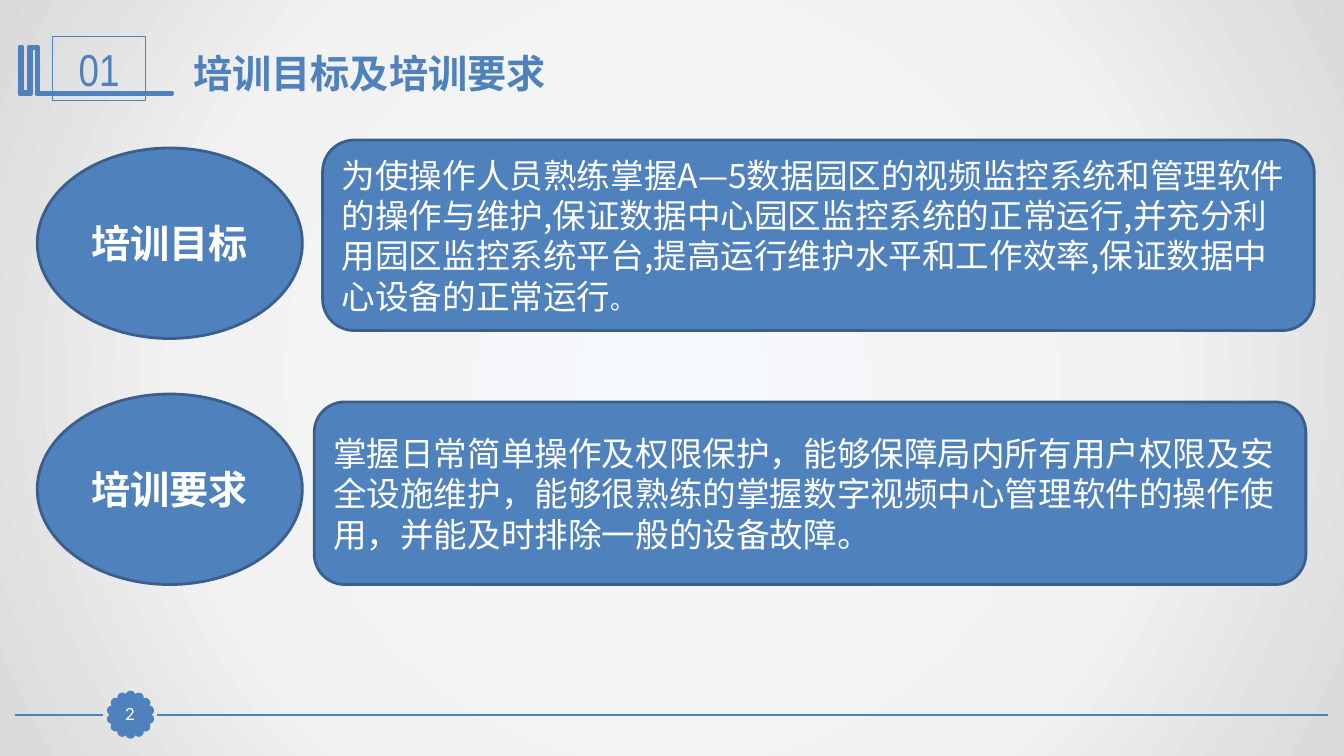
from math import cos, radians, sin

from lxml import etree
from pptx import Presentation
from pptx.dml.color import RGBColor
from pptx.enum.shapes import MSO_CONNECTOR, MSO_SHAPE
from pptx.enum.text import MSO_ANCHOR, PP_ALIGN
from pptx.oxml import parse_xml
from pptx.oxml.ns import nsdecls, qn
from pptx.util import Cm, Pt

TITLE = "培训目标及培训要求"
SECTION_NUMBER = "01"
PAGE_NUMBER = "2"
TOPICS = [
    {
        "label": "培训目标",
        "oval": (0.94, 3.73, 6.68, 4.8),
        "panel": (8.13, 3.53, 24.99, 4.8),
        "runs": [
            ("为使操作人员熟练掌握A—5数据园区的视频监控系统和管理软件的操作与维护,"
             "保证数据中心园区监控系统的正常运行,并充分利用园区监控系统平台,"
             "提高运行维护水平和工作效率,保证数据中心设备的正常运行", 24),
            ("。", 18),
        ],
    },
    {
        "label": "培训要求",
        "oval": (0.94, 9.93, 6.68, 4.8),
        "panel": (7.92, 10.13, 24.99, 4.6),
        "runs": [
            ("掌握日常简单操作及权限保护，能够保障局内所有用户权限及安全设施维护，"
             "能够很熟练的掌握数字视频中心管理软件的操作使用，"
             "并能及时排除一般的设备故障。", 24),
        ],
    },
]
BOOKS_OUTLINE = [
    (0.94, 1.17), (0.97, 1.17), (0.97, 2.34), (4.34, 2.34), (4.34, 2.39),
    (0.91, 2.39), (0.91, 1.22), (0.79, 1.22), (0.79, 2.39), (0.48, 2.39),
    (0.48, 1.17), (0.58, 1.17), (0.58, 2.31), (0.71, 2.31), (0.71, 1.17),
]
FOOTER_Y = 18.01
FOOTER_LINES = [(33.48, 3.96), (2.59, 0.38)]
BADGE_X, BADGE_RADIUS, DOT_SIZE, DOT_COUNT = 3.29, 0.48, 0.18, 14
BACKGROUND_STOPS = [(0, "F6F9FC"), (63, "F2F2F2"), (100, "D9D9D9")]

BLUE = RGBColor(0x4F, 0x81, 0xBD)
DARK_BLUE = RGBColor(0x3A, 0x5F, 0x8C)
WHITE = RGBColor(0xFF, 0xFF, 0xFF)
LATO, NARROW, CJK = "Lato", "Arial Narrow", "Noto Sans CJK SC"
RECTANGLE, OVAL = MSO_SHAPE.RECTANGLE, MSO_SHAPE.OVAL
ROUNDED = MSO_SHAPE.ROUNDED_RECTANGLE
STRAIGHT = MSO_CONNECTOR.STRAIGHT
LEFT, CENTER, MIDDLE = PP_ALIGN.LEFT, PP_ALIGN.CENTER, MSO_ANCHOR.MIDDLE


def paint_background(slide):
    stops = "".join(
        f'<a:gs pos="{position * 1000}"><a:srgbClr val="{color}"/></a:gs>'
        for position, color in BACKGROUND_STOPS
    )
    background = parse_xml(
        f'<p:bg {nsdecls("p", "a")}><p:bgPr><a:gradFill rotWithShape="1">'
        f'<a:gsLst>{stops}</a:gsLst><a:path path="circle">'
        '<a:fillToRect l="50000" t="50000" r="50000" b="50000"/></a:path>'
        '</a:gradFill><a:effectLst/></p:bgPr></p:bg>'
    )
    slide.element.cSld.insert(0, background)


def style_shape(shape, line_color, line_width, filled=True):
    shape.shadow.inherit = False
    if filled:
        shape.fill.solid()
        shape.fill.fore_color.rgb = BLUE
    else:
        shape.fill.background()
    shape.line.color.rgb = line_color
    shape.line.width = Pt(line_width)


def add_box(slide, kind, box, line_color, line_width, filled=True):
    shape = slide.shapes.add_shape(kind, *map(Cm, box))
    style_shape(shape, line_color, line_width, filled)
    return shape


def write_text(shape, runs, font_name, color, alignment, bold=False):
    frame = shape.text_frame
    frame.word_wrap = True
    frame.vertical_anchor = MIDDLE
    paragraph = frame.paragraphs[0]
    paragraph.alignment = alignment
    for text, size in runs:
        run = paragraph.add_run()
        run.text = text
        run.font.size = Pt(size)
        run.font.bold = bold
        run.font.color.rgb = color
        run.font.name = font_name
        east_asian = etree.SubElement(run.font._element, qn("a:ea"))
        east_asian.set("typeface", CJK)
    return paragraph


def add_footer(slide):
    for start, end in FOOTER_LINES:
        line = slide.shapes.add_connector(
            STRAIGHT, Cm(start), Cm(FOOTER_Y), Cm(end), Cm(FOOTER_Y))
        line.line.color.rgb = BLUE
        line.line.width = Pt(1.25)
        etree.SubElement(line._element.spPr, qn("a:effectLst"))
    for index in range(DOT_COUNT):
        angle = radians(360 / DOT_COUNT * index)
        left = BADGE_X + BADGE_RADIUS * sin(angle) - DOT_SIZE / 2
        top = FOOTER_Y - BADGE_RADIUS * cos(angle) - DOT_SIZE / 2
        add_box(slide, OVAL, (left, top, DOT_SIZE, DOT_SIZE), BLUE, 2)
    badge = add_box(slide, RECTANGLE, (2.87, 17.6, 0.81, 0.79), BLUE, 0.75)
    frame = badge.text_frame
    frame.margin_left = frame.margin_right = 0
    frame.margin_top = frame.margin_bottom = 0
    write_text(badge, [(PAGE_NUMBER, 12)], LATO, WHITE, CENTER)


def add_header(slide):
    points = [(Cm(x), Cm(y)) for x, y in BOOKS_OUTLINE]
    builder = slide.shapes.build_freeform(*points[0])
    builder.add_line_segments(points[1:], close=True)
    style_shape(builder.convert_to_shape(), BLUE, 2)
    number = add_box(
        slide, RECTANGLE, (1.32, 0.91, 2.36, 1.63), BLUE, 0.75, filled=False)
    write_text(number, [(SECTION_NUMBER, 32)], NARROW, BLUE, CENTER)
    title = slide.shapes.title
    title.left, title.top = Cm(4.62), Cm(1.12)
    title.width, title.height = Cm(24.61), Cm(1.45)
    write_text(title, [(TITLE, 28)], LATO, BLUE, LEFT, bold=True)


def add_topic(slide, topic):
    oval = add_box(slide, OVAL, topic["oval"], DARK_BLUE, 2)
    write_text(oval, [(topic["label"], 28)], LATO, WHITE, CENTER, bold=True)
    panel = add_box(slide, ROUNDED, topic["panel"], DARK_BLUE, 2)
    paragraph = write_text(panel, topic["runs"], CJK, WHITE, LEFT)
    paragraph.line_spacing = Pt(28.8)


def main():
    """Build the training goals and requirements slide."""
    presentation = Presentation()
    presentation.slide_width, presentation.slide_height = Cm(33.87), Cm(19.05)
    slide = presentation.slides.add_slide(presentation.slide_layouts[5])
    paint_background(slide)
    add_footer(slide)
    add_header(slide)
    for topic in TOPICS:
        add_topic(slide, topic)
    presentation.save("out.pptx")


if __name__ == "__main__":
    main()
